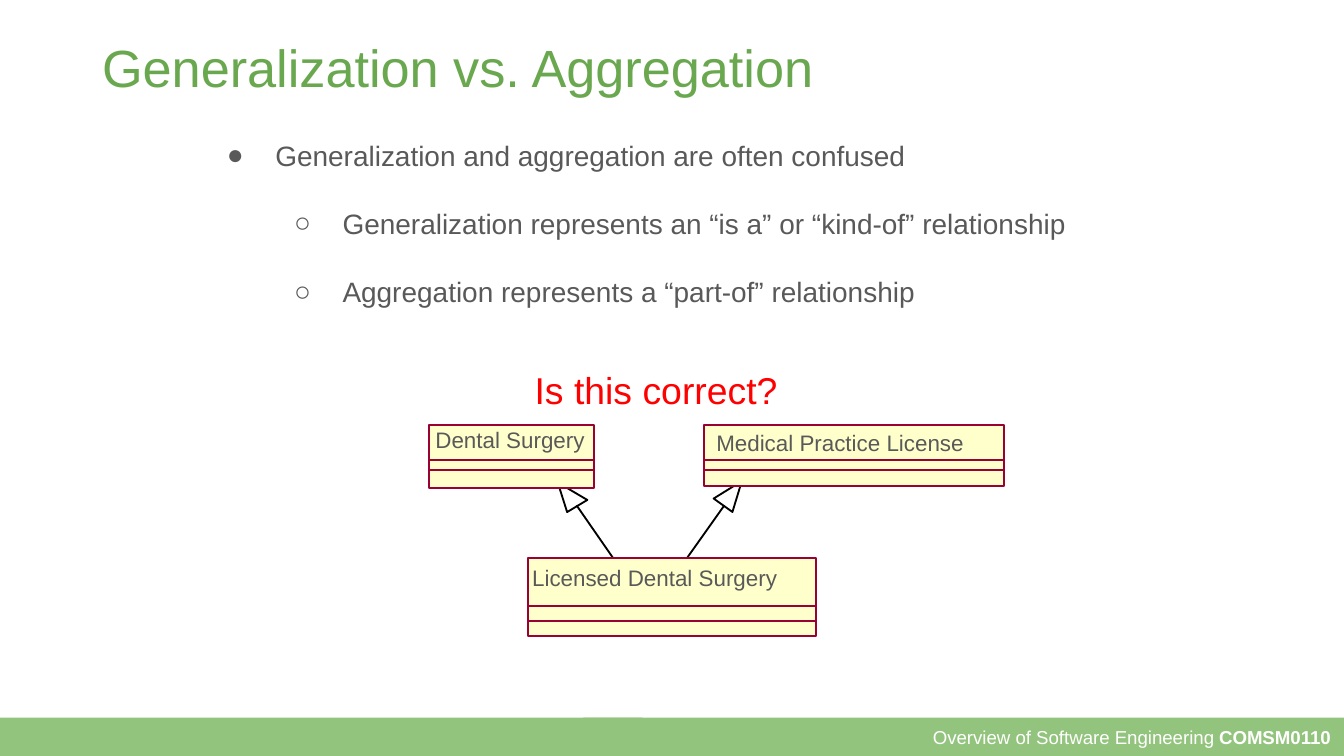
from pptx import Presentation
from pptx.util import Inches, Pt
from pptx.dml.color import RGBColor
from pptx.enum.shapes import MSO_SHAPE as Shape, MSO_CONNECTOR as Conn
from pptx.enum.text import MSO_ANCHOR as Anchor, PP_ALIGN as Align
from pptx.oxml.ns import qn
from lxml.etree import SubElement

HUES = {
    "band": "93C47D", "title": "6AA84F", "body": "595959", "ask": "FF0000",
    "box": "FFFFCC", "edge": "990033", "ink": "000000", "white": "FFFFFF",
}


def hue(name):
    """Return a named colour."""
    return RGBColor.from_string(HUES[name])


def style(para, size, color):
    """Format every run of a paragraph."""
    for run in para.runs:
        run.font.name = "Arial"
        run.font.size = Pt(size)
        run.font.color.rgb = hue(color)


def inset(frame, gap):
    """Set equal margins on a wrapped, top-anchored frame."""
    frame.word_wrap = True
    frame.vertical_anchor = Anchor.TOP
    frame.margin_left = frame.margin_right = Inches(gap)
    frame.margin_top = frame.margin_bottom = Inches(gap)


def add_rect(slide, box, fill, edge=None):
    """Add a filled rectangle."""
    rect = slide.shapes.add_shape(Shape.RECTANGLE, *map(Inches, box))
    rect.shadow.inherit = False
    rect.fill.solid()
    rect.fill.fore_color.rgb = hue(fill)
    if edge:
        rect.line.color.rgb = hue(edge)
        rect.line.width = Pt(1)
    else:
        rect.line.fill.background()
    return rect


def add_text(slide, box, text, size, color):
    """Add a text box with one line of text."""
    frame = slide.shapes.add_textbox(*map(Inches, box)).text_frame
    frame.word_wrap = True
    frame.text = text
    style(frame.paragraphs[0], size, color)
    return frame


def add_line(slide, start, end, color):
    """Add a thin straight line."""
    line = slide.shapes.add_connector(
        Conn.STRAIGHT, *map(Inches, (*start, *end)))
    line.line.color.rgb = hue(color)
    line.line.width = Pt(1)
    SubElement(line._element.spPr, qn("a:effectLst"))


def add_arrow(slide, head, start, end):
    """Add a generalization arrow with a hollow head."""
    first, *rest = [(Inches(x), Inches(y)) for x, y in head]
    pen = slide.shapes.build_freeform(*first)
    pen.add_line_segments(rest, close=True)
    tip = pen.convert_to_shape()
    tip.shadow.inherit = False
    tip.fill.background()
    tip.line.color.rgb = hue("ink")
    tip.line.width = Pt(1)
    add_line(slide, start, end, "ink")


def add_class(slide, name, box, label, rules):
    """Add a class box with its name and two dividing rules."""
    left, top, width, height = box
    add_rect(slide, box, "box", "edge")
    frame = add_text(slide, (*label, width, 0.2), name, 12, "body")
    inset(frame, 0)
    frame.word_wrap = False
    for y in rules:
        add_line(slide, (left, y), (left + width, y), "edge")


def add_title(slide, text):
    """Place and format the title."""
    title = slide.shapes.title
    title.left, title.top = Inches(0.66), Inches(0.16)
    title.width, title.height = Inches(8.26), Inches(0.46)
    frame = title.text_frame
    frame.text = text
    inset(frame, 0.1)
    frame.paragraphs[0].alignment = Align.LEFT
    style(frame.paragraphs[0], 28, "title")


def add_list(slide, box, items):
    """Add a bulleted list of level and text pairs."""
    frame = slide.shapes.add_textbox(*map(Inches, box)).text_frame
    frame.text = "\n".join(text for level, text in items)
    inset(frame, 0.1)
    for para, (level, text) in zip(frame.paragraphs, items):
        para.level = level
        para.line_spacing = 1.15
        para.space_before = Pt(16 * level)
        style(para, 15, "body")
        props = para._p.get_or_add_pPr()
        props.set("marL", str(Inches(0.5 * (level + 1))))
        props.set("indent", str(Inches(-0.36)))
        tint = SubElement(props, qn("a:buClr"))
        SubElement(tint, qn("a:srgbClr")).set("val", HUES["body"])
        SubElement(props, qn("a:buFont")).set("typeface", "Arial")
        SubElement(props, qn("a:buChar")).set("char", "●○"[level])


def add_footer(slide):
    """Add the footer band with the course name."""
    frame = add_rect(slide, (4.34, 5.34, 5.66, 0.29), "band").text_frame
    add_rect(slide, (0, 5.34, 4.78, 0.29), "band")
    inset(frame, 0.1)
    frame.vertical_anchor = Anchor.MIDDLE
    para = frame.paragraphs[0]
    para.alignment = Align.RIGHT
    para.add_run().text = "Overview of Software Engineering "
    code = para.add_run()
    code.text = "COMSM0110"
    code.font.bold = True
    style(para, 10, "white")


def main():
    """Build the slide and save it."""
    deck = Presentation()
    deck.slide_width = Inches(10)
    deck.slide_height = Inches(10) * 9 // 16
    slide = deck.slides.add_slide(deck.slide_layouts[5])
    add_footer(slide)
    add_arrow(slide, [(5.52, 3.58), (5.45, 3.81), (5.31, 3.71)],
              (5.39, 3.76), (4.95, 4.38))
    add_arrow(slide, [(4.15, 3.59), (4.22, 3.81), (4.37, 3.72)],
              (4.29, 3.76), (4.72, 4.38))
    add_text(slide, (3.88, 2.68, 2.14, 0.44), "Is this correct?", 20, "ask")
    add_title(slide, "Generalization vs. Aggregation")
    add_list(slide, (1.45, 0.89, 7.28, 2.44), [
        (0, "Generalization and aggregation are often confused"),
        (1, "Generalization represents an “is a” or “kind-of” relationship"),
        (1, "Aggregation represents a “part-of” relationship"),
    ])
    add_class(slide, "Dental Surgery", (3.19, 3.16, 1.23, 0.47),
              (3.24, 3.17), (3.42, 3.5))
    add_class(slide, "Licensed Dental Surgery", (3.93, 4.15, 2.14, 0.58),
              (3.96, 4.2), (4.51, 4.62))
    add_class(slide, "Medical Practice License", (5.24, 3.16, 2.23, 0.46),
              (5.33, 3.19), (3.42, 3.5))
    deck.save("out.pptx")


main()
